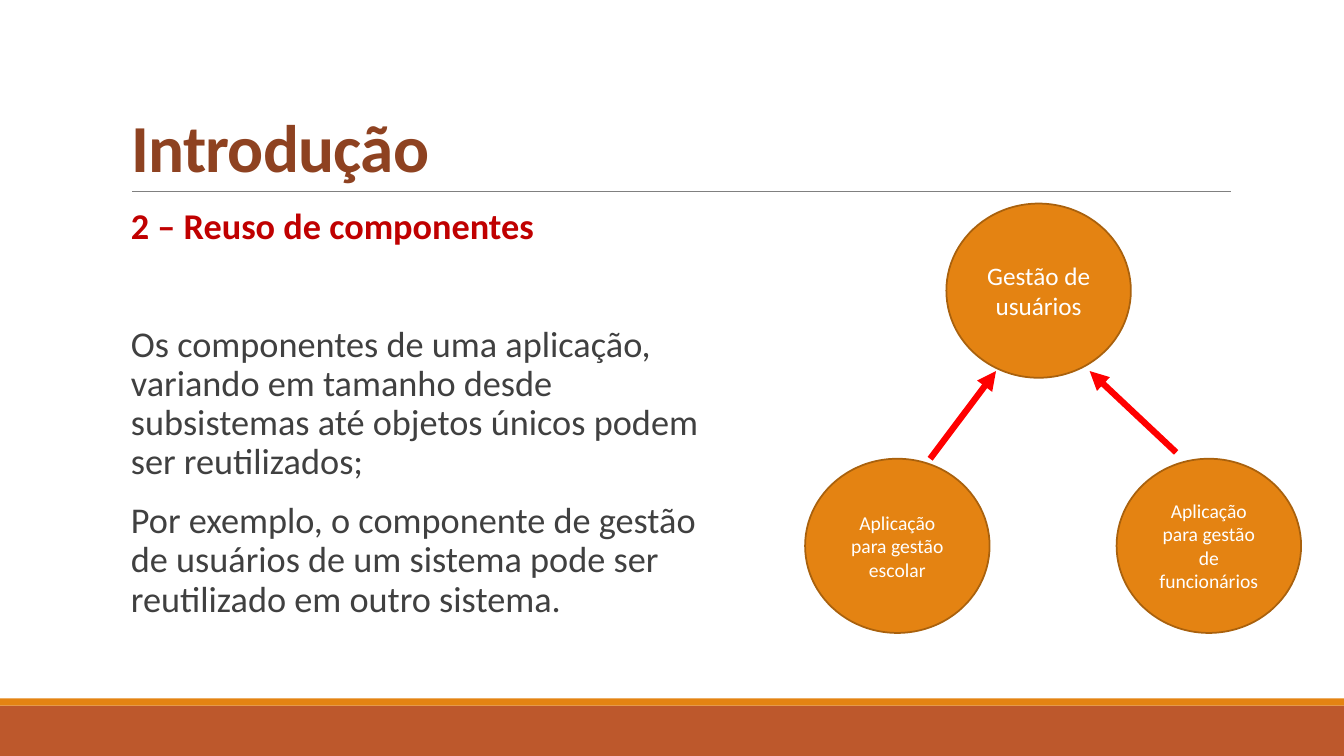
import pptx
import pptx.util
import pptx.dml.color
import pptx.enum.shapes
import pptx.enum.text
import pptx.oxml
import pptx.oxml.ns

Cm, Pt = pptx.util.Cm, pptx.util.Pt
RGBColor = pptx.dml.color.RGBColor
Kind = pptx.enum.shapes.MSO_SHAPE
Anchor = pptx.enum.text.MSO_ANCHOR
Align = pptx.enum.text.PP_ALIGN
Fit = pptx.enum.text.MSO_AUTO_SIZE
qn = pptx.oxml.ns.qn

ORANGE = RGBColor(0xE4, 0x83, 0x12)
RUST = RGBColor(0xBD, 0x58, 0x2C)
BROWN = RGBColor(0x8E, 0x42, 0x21)
EDGE = RGBColor(0xA9, 0x61, 0x0D)
CRIMSON = RGBColor(0xC0, 0x00, 0x00)
RED = RGBColor(0xFF, 0x00, 0x00)
GRAY = RGBColor(0x80, 0x80, 0x80)
DARK = RGBColor(0x40, 0x40, 0x40)
WHITE = RGBColor(0xFF, 0xFF, 0xFF)


def style(para, size, color, bold=False):
    for run in para.runs:
        run.font.name = "Calibri"
        run.font.size = Pt(size)
        run.font.bold = bold
        run.font.color.rgb = color


def link(x1, y1, x2, y2, color, width):
    line = shapes.add_connector(
        pptx.enum.shapes.MSO_CONNECTOR.STRAIGHT, Cm(x1), Cm(y1), Cm(x2), Cm(y2))
    line.line.color.rgb = color
    line.line.width = Pt(width)
    props = line._element.spPr
    props.append(props.makeelement(qn("a:effectLst"), {}))
    return line


deck = pptx.Presentation()
deck.slide_width, deck.slide_height = Cm(33.87), Cm(19.05)
slide = deck.slides.add_slide(deck.slide_layouts[5])
shapes = slide.shapes

for top, height, color in [(17.78, 1.27, RUST), (17.6, 0.18, ORANGE)]:
    band = shapes.add_shape(Kind.RECTANGLE, 0, Cm(top), deck.slide_width, Cm(height))
    band.shadow.inherit = False
    band.fill.solid()
    band.fill.fore_color.rgb = color
    band.line.fill.background()

link(3.33, 4.83, 31.01, 4.83, GRAY, 0.5)

title = shapes.title
title.left, title.top, title.width, title.height = Cm(3.05), Cm(0.79), Cm(27.94), Cm(4.04)
frame = title.text_frame
frame.text = "Introdução"
frame.auto_size = Fit.NONE
frame.vertical_anchor = Anchor.BOTTOM
head = frame.paragraphs[0]
head.alignment = Align.LEFT
head.line_spacing = 0.85
style(head, 48, BROWN, True)
head.runs[0].font._element.set("spc", "-50")

body = shapes.add_textbox(Cm(3.05), Cm(5.13), Cm(14.68), Cm(11.18))
frame = body.text_frame
frame.word_wrap = True
frame.margin_left, frame.margin_right = Cm(0.25), 0
texts = [
    ("2 – Reuso de componentes", CRIMSON, True, 0),
    ("Os componentes de uma aplicação, variando em tamanho desde subsistemas "
     "até objetos únicos podem ser reutilizados;", DARK, False, 54),
    ("Por exemplo, o componente de gestão de usuários de um sistema pode ser "
     "reutilizado em outro sistema.", DARK, False, 12),
]
frame.text = "\n".join(item[0] for item in texts)
for para, (text, color, bold, before) in zip(frame.paragraphs, texts):
    para.line_spacing = 0.9
    para.space_before, para.space_after = Pt(before), Pt(2)
    style(para, 25.9, color, bold)

nodes = [
    (23.85, 5.13, "Gestão de usuários", 18),
    (20.29, 11.56, "Aplicação para gestão escolar", 14),
    (28.14, 11.56, "Aplicação para gestão de funcionários", 14),
]
for left, top, text, size in nodes:
    node = shapes.add_shape(Kind.OVAL, Cm(left), Cm(top), Cm(4.65), Cm(4.39))
    node.shadow.inherit = False
    node.fill.solid()
    node.fill.fore_color.rgb = ORANGE
    node.line.color.rgb = EDGE
    node.line.width = Pt(1.25)
    frame = node.text_frame
    frame.text = text
    frame.word_wrap = True
    frame.vertical_anchor = Anchor.MIDDLE
    frame.paragraphs[0].alignment = Align.CENTER
    style(frame.paragraphs[0], size, WHITE)

for ends in [(23.44, 11.56, 25.1, 9.35), (29.64, 11.4, 27.46, 9.35)]:
    arrow = link(*ends, RED, 4.5)
    stroke = arrow.line._get_or_add_ln()
    stroke.append(stroke.makeelement(qn("a:tailEnd"), {"type": "triangle"}))

deck.save("out.pptx")
